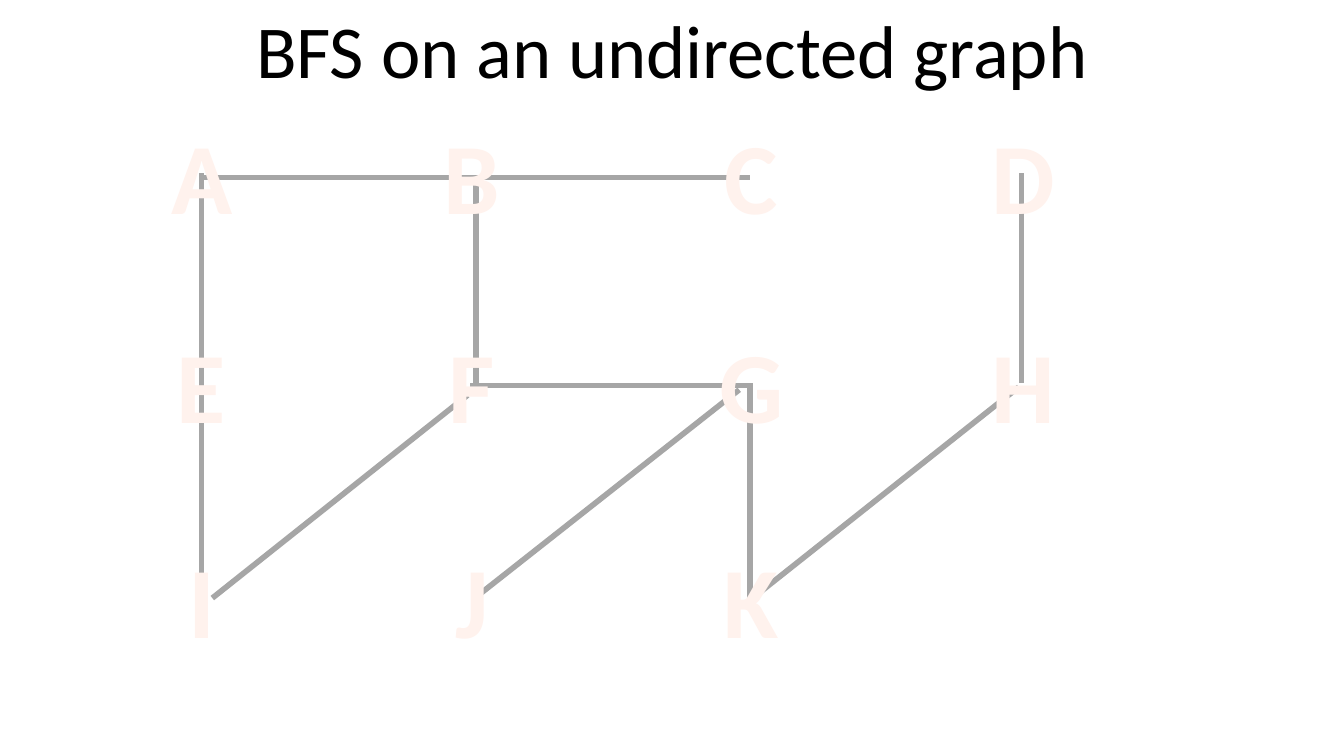
from typing import NamedTuple, Optional

from lxml import etree
from pptx import Presentation
from pptx.dml.color import RGBColor
from pptx.enum.shapes import MSO_CONNECTOR
from pptx.enum.text import MSO_AUTO_SIZE, PP_ALIGN
from pptx.oxml.ns import qn
from pptx.util import Inches, Pt

FONT = "Calibri"
EDGE_COLOR = "A6A6A6"
NODE_COLOR = "FFF2ED"
OUTLINE_COLOR = "404040"
COLUMNS = (1.5, 3.51, 5.59, 7.61)
ROWS = {"top": 0.8, "middle": 2.35, "bottom": 3.95}
NODE_HEIGHT = 1.01


class Node(NamedTuple):
    label: str
    column: int
    row: str
    width: float


class Edge(NamedTuple):
    x1: float
    y1: float
    x2: float
    y2: float


NODES = [
    Node("I", 0, "bottom", 0.4),
    Node("H", 3, "middle", 0.68),
    Node("F", 1, "middle", 0.55),
    Node("A", 0, "top", 0.66),
    Node("K", 2, "bottom", 0.62),
    Node("G", 2, "middle", 0.68),
    Node("B", 1, "top", 0.63),
    Node("J", 1, "bottom", 0.45),
    Node("E", 0, "middle", 0.57),
    Node("D", 3, "top", 0.68),
    Node("C", 2, "top", 0.6),
]

EDGES = [
    Edge(1.5, 1.32, 3.58, 1.32),   # A-B
    Edge(7.6, 1.29, 7.6, 2.85),    # D-H
    Edge(1.5, 1.29, 1.5, 2.88),    # A-E
    Edge(5.58, 2.85, 5.58, 4.51),  # G-K
    Edge(3.5, 2.87, 5.58, 2.87),   # F-G
    Edge(3.54, 1.32, 3.54, 2.85),  # B-F
    Edge(7.58, 2.88, 5.6, 4.45),   # H-K
    Edge(3.48, 2.94, 1.58, 4.45),  # F-I
    Edge(1.5, 2.9, 1.5, 4.48),     # E-I
    Edge(3.5, 1.32, 5.58, 1.32),   # B-C
    Edge(5.5, 2.9, 3.52, 4.46),    # G-J
]


def rgb(value: str) -> RGBColor:
    return RGBColor.from_string(value)


def add_text(slide, text: str, left: float, top: float, width: float,
             height: float, *, size: float, color: str, bold: bool = False,
             wrap: bool = True, outline: Optional[str] = None) -> None:
    """Add a centred line of text, with an outline around it if given."""
    sp = slide.shapes.add_textbox(Inches(left), Inches(top),
                                  Inches(width), Inches(height))
    tf = sp.text_frame
    tf.word_wrap = wrap
    tf.auto_size = MSO_AUTO_SIZE.SHAPE_TO_FIT_TEXT
    p = tf.paragraphs[0]
    p.alignment = PP_ALIGN.CENTER
    r = p.add_run()
    r.text = text
    r.font.name = FONT
    r.font.size = Pt(size)
    r.font.bold = bold
    r.font.color.rgb = rgb(color)
    if outline:
        ln = etree.Element(qn("a:ln"), w=str(Pt(2.48)))
        fill = etree.SubElement(ln, qn("a:solidFill"))
        etree.SubElement(fill, qn("a:srgbClr"), val=outline)
        r.font._element.insert(0, ln)


def add_edge(slide, edge: Edge) -> None:
    line = slide.shapes.add_connector(MSO_CONNECTOR.STRAIGHT,
                                      *(Inches(v) for v in edge))
    line.line.color.rgb = rgb(EDGE_COLOR)
    line.line.width = Pt(3)
    etree.SubElement(line._element.spPr, qn("a:effectLst"))


def add_node(slide, node: Node) -> None:
    add_text(slide, node.label, COLUMNS[node.column] - node.width / 2,
             ROWS[node.row], node.width, NODE_HEIGHT, size=54,
             color=NODE_COLOR, bold=True, wrap=False, outline=OUTLINE_COLOR)


def main() -> None:
    prs = Presentation()
    # 16:9 slide
    prs.slide_width = Inches(10)
    prs.slide_height = Inches(10 * 9 / 16)
    slide = prs.slides.add_slide(prs.slide_layouts[6])

    # Edges lie behind the letters
    for edge in EDGES:
        add_edge(slide, edge)

    # Title
    add_text(slide, "BFS on an undirected graph", 0, -0.02, 10, 0.77,
             size=40, color="000000")

    # Node letters
    for node in NODES:
        add_node(slide, node)

    prs.save("out.pptx")


if __name__ == "__main__":
    main()
